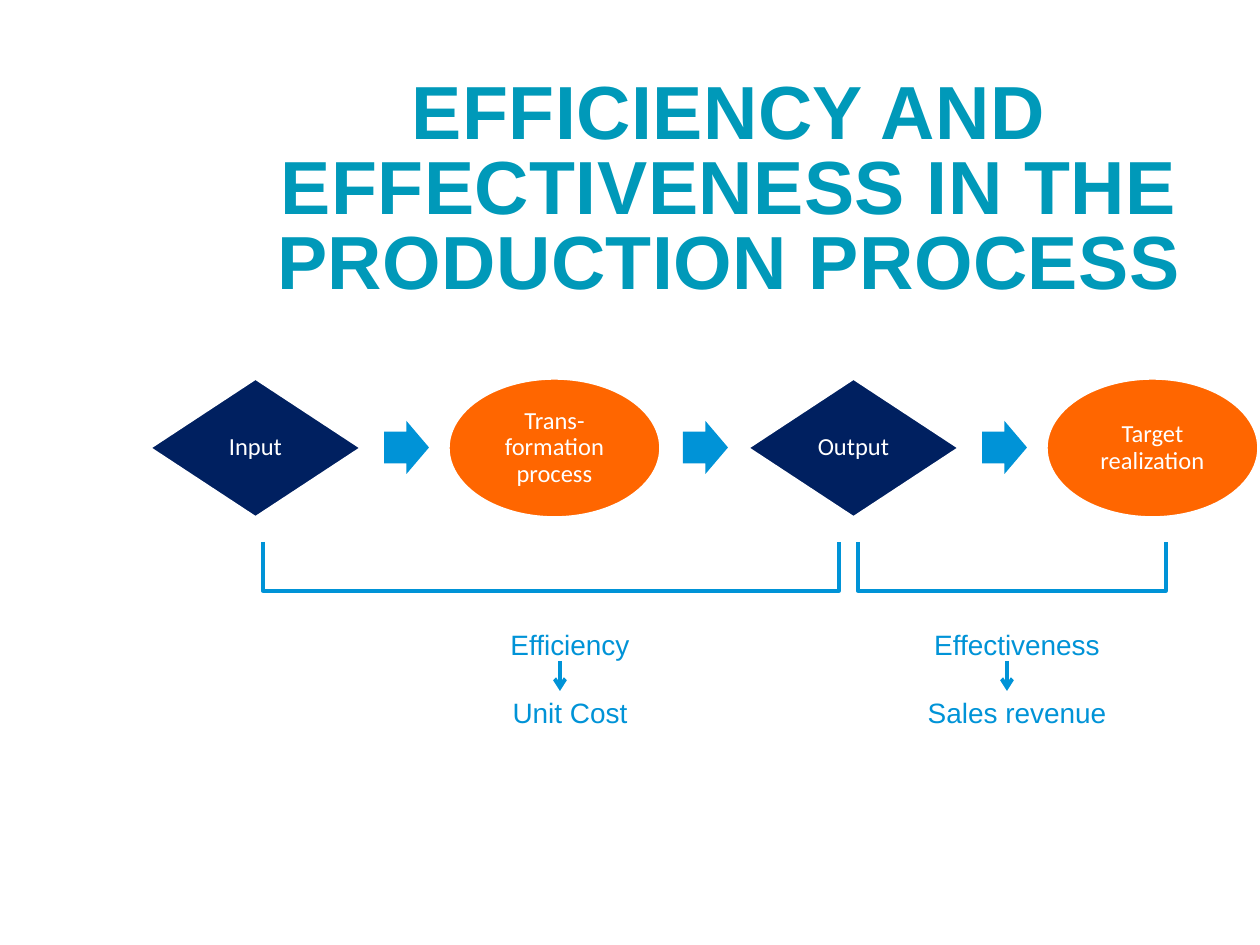
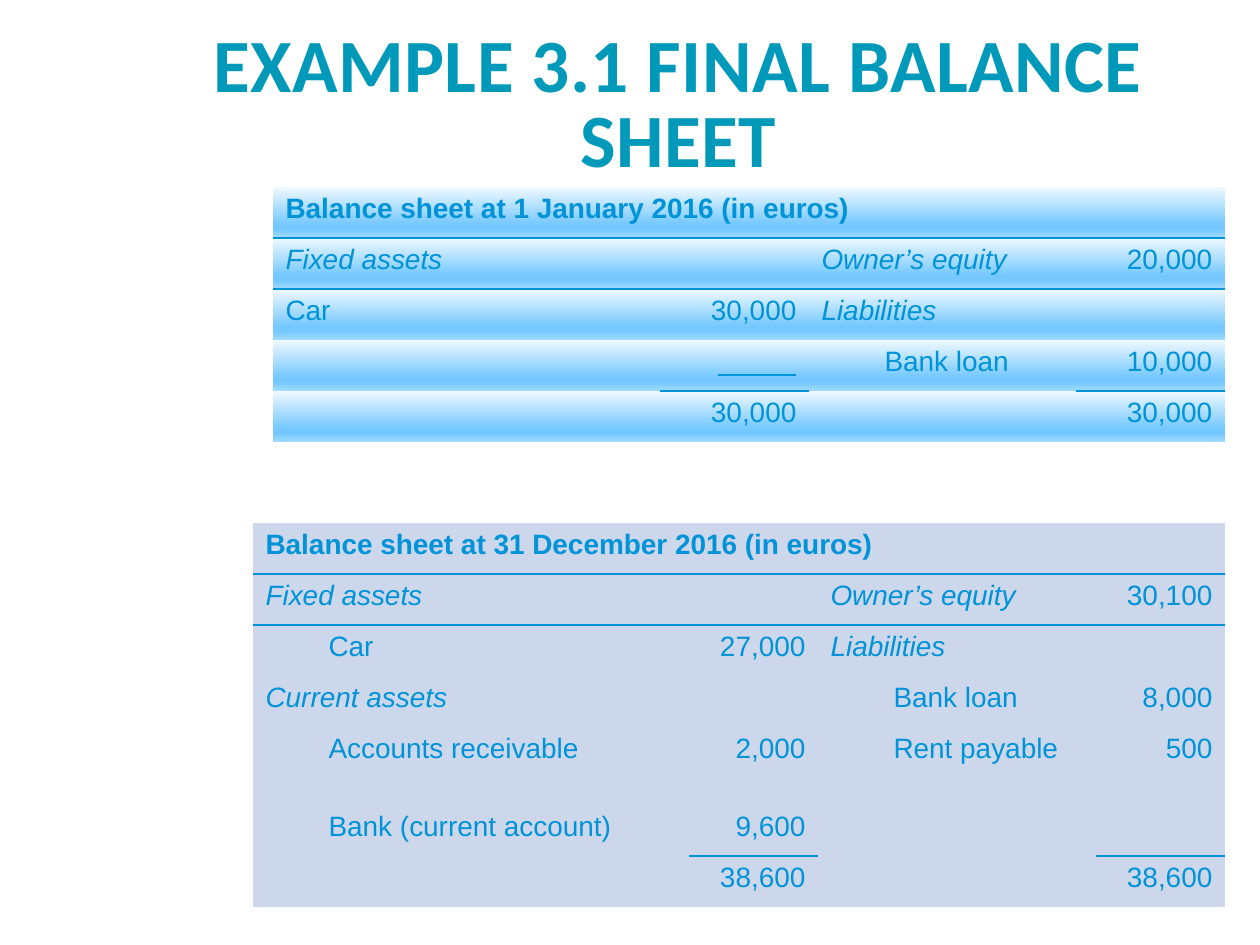
from lxml import etree
from pptx import Presentation
from pptx.dml.color import RGBColor
from pptx.enum.shapes import MSO_CONNECTOR, MSO_SHAPE
from pptx.enum.text import MSO_ANCHOR, PP_ALIGN
from pptx.oxml import parse_xml
from pptx.oxml.ns import nsdecls, qn
from pptx.util import Pt

TEAL = RGBColor(0x00, 0x99, 0xB9)
BLUE = RGBColor(0x00, 0x93, 0xD7)
NAVY = RGBColor(0x00, 0x20, 0x60)
ORANGE = RGBColor(0xFF, 0x66, 0x00)
WHITE = RGBColor(0xFF, 0xFF, 0xFF)
PALE = RGBColor(0xCC, 0xD7, 0xEB)
SKY_STOPS = [(0, "F0F9FF"), (74, "74C8FF"), (83, "74C8FF"), (100, "A2DBFF")]
NO_STYLE = "{2D5ABB26-0587-4C30-8999-92F81FD0307C}"

TITLE = {"name": "Arial", "size": Pt(43), "bold": True}
NODE = {"name": "Calibri", "size": Pt(14)}
BODY = {"name": "Arial", "size": Pt(16)}


def px(*values):
    return [round(v * 914400 / 126) for v in values]


def write(p, text, fmt, color, align=PP_ALIGN.CENTER):
    p.alignment = align
    r = p.add_run()
    r.text = text
    for key, value in fmt.items():
        setattr(r.font, key, value)
    r.font.color.rgb = color
    return r


prs = Presentation()
prs.slide_width, prs.slide_height = px(1260, 945)

titles = [
    ("EFFICIENCY AND EFFECTIVENESS IN THE PRODUCTION PROCESS", "Arial", (233, 79, 992, 76)),
    ("EXAMPLE 3.1 FINAL BALANCE SHEET", "Calibri", (133, 32, 1091, 76)),
]
slides = []
for text, font, box in titles:
    s = prs.slides.add_slide(prs.slide_layouts[6])
    tf = s.shapes.add_textbox(*px(*box)).text_frame
    tf.word_wrap = True
    tf.margin_left = tf.margin_right = tf.margin_top = tf.margin_bottom = 0
    p = tf.paragraphs[0]
    p.line_spacing = Pt(43)
    r = write(p, text, {**TITLE, "name": font}, TEAL)
    r.font._element.set("spc", "30")
    slides.append(s)
flow, sheets = slides

nodes = ["Input", "Trans-formation process", "Output", "Target realization"]
kinds = [(MSO_SHAPE.FLOWCHART_DECISION, NAVY), (MSO_SHAPE.OVAL, ORANGE)]
for i, text in enumerate(nodes):
    kind, color = kinds[i % 2]
    sp = flow.shapes.add_shape(kind, *px(149 + 299 * i, 378, 213, 140))
    sp.shadow.inherit = False
    sp.fill.solid()
    sp.fill.fore_color.rgb = color
    sp.line.color.rgb = WHITE
    sp.line.width = Pt(2)
    tf = sp.text_frame
    tf.word_wrap = True
    tf.vertical_anchor = MSO_ANCHOR.MIDDLE
    tf.margin_left = tf.margin_right = tf.margin_top = tf.margin_bottom = px(8)[0]
    tf.paragraphs[0].line_spacing = 0.9
    write(tf.paragraphs[0], text, NODE, WHITE)
    if i < len(nodes) - 1:
        sp = flow.shapes.add_shape(MSO_SHAPE.RIGHT_ARROW, *px(384 + 299 * i, 421, 45, 53))
        sp.adjustments[0] = 0.6
        sp.shadow.inherit = False
        sp.fill.solid()
        sp.fill.fore_color.rgb = BLUE
        sp.line.fill.background()

measures = [
    ("Efficiency", "Unit Cost", 263, 839, 441, 560),
    ("Effectiveness", "Sales revenue", 858, 1166, 888, 1007),
]
lines = []
for measure, result, left, right, text_left, arrow_x in measures:
    fb = flow.shapes.build_freeform(*px(left, 542), scale=1.0)
    fb.add_line_segments([px(left, 591), px(right, 591), px(right, 542)], close=False)
    sp = fb.convert_to_shape()
    sp.shadow.inherit = False
    sp.fill.background()
    sp.line.color.rgb = BLUE
    sp.line.width = Pt(2)
    tf = flow.shapes.add_textbox(*px(text_left, 621, 258, 115)).text_frame
    tf.word_wrap = True
    write(tf.paragraphs[0], measure, BODY, BLUE)
    p = tf.add_paragraph()
    p.space_before = Pt(20)
    write(p, result, BODY, BLUE)
    lines.append((flow, (arrow_x, 661, arrow_x, 691), 2.25, True))

opening = [
    ["Balance sheet at 1 January 2016 (in euros)", "", "", ""],
    ["Fixed assets", "", "Owner’s equity", "20,000"],
    ["Car", "30,000", "Liabilities", ""],
    ["", "", ">Bank loan", "10,000"],
    ["", "30,000", "", "30,000"],
]
closing = [
    ["Balance sheet at 31 December 2016 (in euros)", "", "", ""],
    ["Fixed assets", "", "Owner’s equity", "30,100"],
    [">Car", "27,000", "Liabilities", ""],
    ["Current assets", "", ">Bank loan", "8,000"],
    [">Accounts receivable", "2,000", ">Rent payable", "500"],
    [">Bank (current account)", "9,600", "", ""],
    ["", "38,600", "", "38,600"],
]
headings = {"Fixed assets", "Current assets", "Owner’s equity", "Liabilities"}
tables = [
    (opening, 273, 187, [387, 149, 267, 149], [51] * 5, SKY_STOPS),
    (closing, 253, 523, [436, 129, 278, 129], [51] * 4 + [78] + [51] * 2, None),
]
for rows, left, top, widths, heights, stops in tables:
    frame = sheets.shapes.add_table(len(rows), 4, *px(left, top, sum(widths), sum(heights)))
    tbl = frame.table
    tbl.first_row = tbl.horz_banding = False
    tbl._tbl.tblPr.find(qn("a:tableStyleId")).text = NO_STYLE
    for column, width in zip(tbl.columns, px(*widths)):
        column.width = width
    for row, height in zip(tbl.rows, px(*heights)):
        row.height = height
    for i, texts in enumerate(rows):
        for j, text in enumerate(texts):
            cell = tbl.cell(i, j)
            tcPr = cell._tc.get_or_add_tcPr()
            if stops:
                gs = "".join(
                    f'<a:gs pos="{pos * 1000}"><a:srgbClr val="{rgb}"/></a:gs>' for pos, rgb in stops
                )
                tcPr.append(parse_xml(
                    f'<a:gradFill {nsdecls("a")} rotWithShape="1"><a:gsLst>{gs}</a:gsLst>'
                    '<a:lin ang="5400000" scaled="0"/></a:gradFill>'
                ))
            else:
                cell.fill.solid()
                cell.fill.fore_color.rgb = PALE
            if i < 2 or (i == len(rows) - 2 and j % 2):
                tcPr.insert(0, parse_xml(
                    f'<a:lnB {nsdecls("a")} w="12700"><a:solidFill>'
                    f'<a:srgbClr val="{BLUE}"/></a:solidFill></a:lnB>'
                ))
            p = cell.text_frame.paragraphs[0]
            p.font.size = Pt(16)
            if text:
                fmt = {**BODY, "bold": i == 0, "italic": text in headings}
                write(p, text.lstrip(">"), fmt, BLUE, PP_ALIGN.RIGHT if j % 2 else PP_ALIGN.LEFT)
            if text.startswith(">"):
                p._p.get_or_add_pPr().set("marL", str(px(63)[0]))
    tbl.cell(0, 0).merge(tbl.cell(0, 3))
    tbl.cell(1, 0).merge(tbl.cell(1, 1))
lines.append((sheets, (718, 375, 796, 375), 1.25, False))

for s, ends, width, arrow in lines:
    cn = s.shapes.add_connector(MSO_CONNECTOR.STRAIGHT, *px(*ends))
    cn.line.color.rgb = BLUE
    cn.line.width = Pt(width)
    if arrow:
        etree.SubElement(cn.line._get_or_add_ln(), qn("a:tailEnd"), type="arrow")
    etree.SubElement(cn._element.spPr, qn("a:effectLst"))

prs.save("out.pptx")
